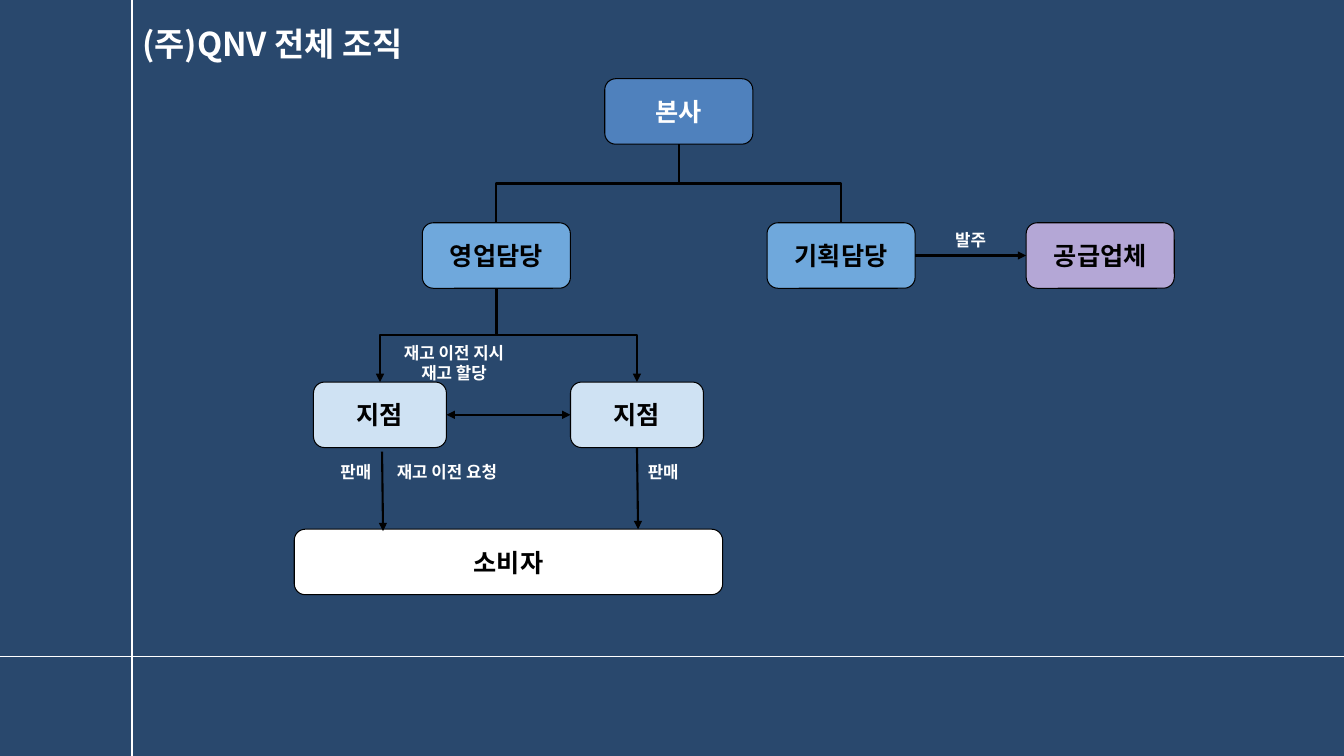
"""Build the organisation chart slide."""
from dataclasses import dataclass
from lxml import etree
from pptx import Presentation
from pptx.dml.color import RGBColor
from pptx.enum.shapes import MSO_CONNECTOR, MSO_SHAPE
from pptx.enum.text import MSO_ANCHOR, MSO_AUTO_SIZE, PP_ALIGN
from pptx.oxml.ns import qn
from pptx.shapes.autoshape import Shape
from pptx.shapes.connector import Connector
from pptx.slide import Slide
from pptx.text.text import TextFrame
from pptx.util import Pt

ELBOW, LINE = MSO_CONNECTOR.ELBOW, MSO_CONNECTOR.STRAIGHT
ROUND = MSO_SHAPE.ROUNDED_RECTANGLE
MIDDLE, TOP = MSO_ANCHOR.MIDDLE, MSO_ANCHOR.TOP
LEFT, CENTER = PP_ALIGN.LEFT, PP_ALIGN.CENTER
GROW, FIXED = MSO_AUTO_SIZE.SHAPE_TO_FIT_TEXT, MSO_AUTO_SIZE.NONE

NAVY = RGBColor(0x29, 0x48, 0x6D)
BLUE = RGBColor(0x4F, 0x81, 0xBD)
SKY = RGBColor(0x6F, 0xA8, 0xDC)
PALE = RGBColor(0xCF, 0xE2, 0xF3)
LILAC = RGBColor(0xB4, 0xA7, 0xD6)
WHITE = RGBColor(0xFF, 0xFF, 0xFF)
BLACK = RGBColor(0, 0, 0)

FONT = "Noto Sans CJK KR"
WIDE, HIGH = 960, 540
BOX_H = 46.8
UNIT_W, BRANCH_W = 105.8, 95
UNIT_Y, BRANCH_Y, BUYER_Y = 159.1, 272.9, 378
NOTE_Y = 326.2
ABOVE, WEST, BELOW, EAST = range(4)


@dataclass(frozen=True)
class Box:
    text: str
    x: float
    y: float
    w: float
    fill: RGBColor
    ink: RGBColor = BLACK


@dataclass(frozen=True)
class Note:
    lines: tuple[str, ...]
    x: float
    y: float
    w: float
    h: float = 21.6


@dataclass(frozen=True)
class Link:
    start: str
    end: str
    heads: tuple[str, ...] = ()


BOXES = {
    "head": Box("본사", 432, 56.2, UNIT_W, BLUE, WHITE),
    "sales": Box("영업담당", 301.7, UNIT_Y, UNIT_W, SKY),
    "plan": Box("기획담당", 547.9, UNIT_Y, UNIT_W, SKY),
    "vendor": Box("공급업체", 733, UNIT_Y, UNIT_W, LILAC),
    "left": Box("지점", 223.9, BRANCH_Y, BRANCH_W, PALE),
    "right": Box("지점", 407.5, BRANCH_Y, BRANCH_W, PALE),
    "buyer": Box("소비자", 210.2, BUYER_Y, 306, WHITE),
}
TREE = (
    Link("head", "plan"),
    Link("head", "sales"),
    Link("sales", "left", ("tailEnd",)),
    Link("sales", "right", ("tailEnd",)),
)
FLOWS = (
    Link("plan", "vendor", ("tailEnd",)),
    Link("left", "right", ("headEnd", "tailEnd")),
)
NOTES = (
    Note(("발주",), 673.9, 160.6, 38.9),
    Note(("재고 이전 지시", "재고 할당"), 276.5, 241.2, 95.8, 36),
    Note(("재고 이전 요청",), 271.4, NOTE_Y, 95.8),
    Note(("판매",), 234.7, NOTE_Y, 38.9),
    Note(("판매",), 454.3, NOTE_Y, 38.9),
)


def write(frame: TextFrame, lines: tuple[str, ...], size: float, ink: RGBColor,
          align: PP_ALIGN, anchor: MSO_ANCHOR, fit: MSO_AUTO_SIZE) -> None:
    """Fill a text frame with bold lines."""
    frame.word_wrap = True
    frame.auto_size = fit
    frame.vertical_anchor = anchor
    for i, line in enumerate(lines):
        para = frame.add_paragraph() if i else frame.paragraphs[0]
        para.alignment = align
        run = para.add_run()
        run.text = line
        font = run.font
        font.size, font.bold, font.name = Pt(size), True, FONT
        font.color.rgb = ink
        etree.SubElement(run._r.rPr, qn("a:ea")).set("typeface", FONT)


def add_box(slide: Slide, box: Box) -> Shape:
    """Draw one rounded box."""
    shape = slide.shapes.add_shape(ROUND, Pt(box.x), Pt(box.y), Pt(box.w), Pt(BOX_H))
    shape.shadow.inherit = False
    shape.fill.solid()
    shape.fill.fore_color.rgb = box.fill
    shape.line.color.rgb = BLACK
    shape.line.width = Pt(0.75)
    write(shape.text_frame, (box.text,), 18, box.ink, CENTER, MIDDLE, FIXED)
    return shape


def add_line(slide: Slide, kind: MSO_CONNECTOR, ends: tuple[float, float, float, float],
             ink: RGBColor = BLACK, width: float = 1.5,
             heads: tuple[str, ...] = ()) -> Connector:
    """Draw a connector with optional arrowheads."""
    line = slide.shapes.add_connector(kind, *map(Pt, ends))
    line.line.color.rgb = ink
    line.line.width = Pt(width)
    for head in heads:
        etree.SubElement(line.line._get_or_add_ln(), qn(f"a:{head}")).set("type", "triangle")
    etree.SubElement(line._element.spPr, qn("a:effectLst"))
    return line


def add_branch(slide: Slide, link: Link, shapes: dict[str, Shape]) -> None:
    """Join two boxes by an elbow that leaves downwards."""
    line = add_line(slide, ELBOW, (0, 0, 0, 0), heads=link.heads)
    line.begin_connect(shapes[link.start], BELOW)
    line.end_connect(shapes[link.end], ABOVE)
    right = line.end_x > line.begin_x
    mid_x, mid_y = line.left + line.width // 2, line.top + line.height // 2
    line.width, line.height = line.height, line.width
    line.left, line.top = mid_x - line.width // 2, mid_y - line.height // 2
    frame = line._element.spPr.find(qn("a:xfrm"))
    frame.set("rot", str((270 if right else 90) * 60000))
    frame.set("flipH", "1" if right else "0")


def add_flow(slide: Slide, link: Link, shapes: dict[str, Shape]) -> None:
    """Join two boxes by a level arrow."""
    line = add_line(slide, LINE, (0, 0, 0, 0), heads=link.heads)
    line.begin_connect(shapes[link.start], EAST)
    line.end_connect(shapes[link.end], WEST)


def add_note(slide: Slide, note: Note) -> None:
    """Place a small label."""
    shape = slide.shapes.add_textbox(Pt(note.x), Pt(note.y), Pt(note.w), Pt(note.h))
    write(shape.text_frame, note.lines, 12, WHITE, CENTER, TOP, GROW)


def main() -> None:
    """Build and save the slide."""
    deck = Presentation()
    deck.slide_width, deck.slide_height = Pt(WIDE), Pt(HIGH)
    slide = deck.slides.add_slide(deck.slide_layouts.get_by_name("Title Only"))
    slide.background.fill.solid()
    slide.background.fill.fore_color.rgb = NAVY
    for ends in ((0, 468.7, WIDE, 468.7), (94.3, 0, 94.3, HIGH)):
        add_line(slide, LINE, ends, WHITE, 0.75)

    title = slide.shapes.title
    title.left, title.top, title.width, title.height = map(Pt, (94.3, 9.4, 243.4, 46.8))
    write(title.text_frame, ("(주)QNV 전체 조직",), 23.4, WHITE, LEFT, MIDDLE, FIXED)
    title.text_frame.paragraphs[0].line_spacing = 0.9

    shapes = {name: add_box(slide, box) for name, box in BOXES.items()}
    for link in TREE:
        add_branch(slide, link, shapes)
    for link in FLOWS:
        add_flow(slide, link, shapes)
    add_line(slide, LINE, (272.9, 322.6, 273.6, 379.4), heads=("tailEnd",))
    sale = add_line(slide, LINE, (455, 319.7, 455.8, BUYER_Y), heads=("tailEnd",))
    sale.begin_connect(shapes["right"], BELOW)
    for note in NOTES:
        add_note(slide, note)
    deck.save("out.pptx")


if __name__ == "__main__":
    main()
